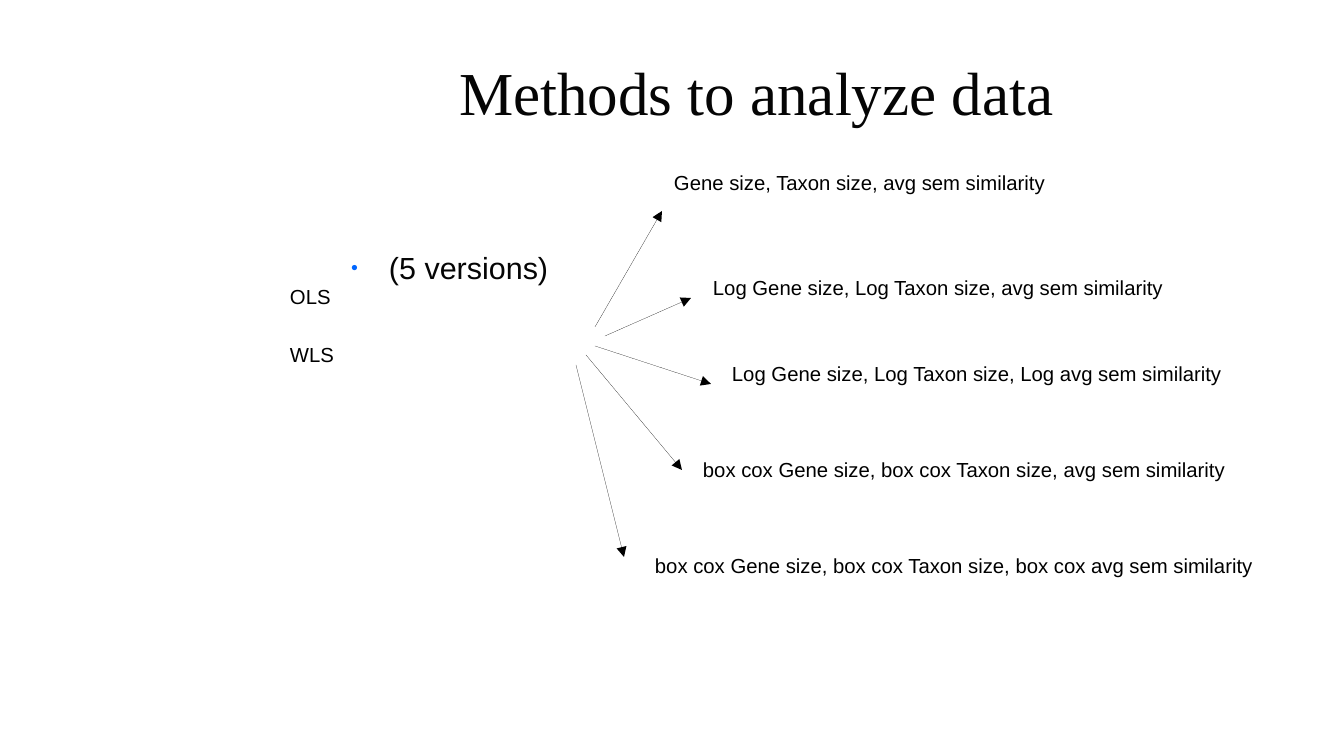
from pptx import Presentation
from pptx.dml.color import RGBColor
from pptx.enum.shapes import MSO_CONNECTOR
from pptx.enum.text import MSO_ANCHOR, PP_ALIGN
from pptx.oxml.ns import qn
from pptx.util import Emu, Pt
from lxml.etree import SubElement

PX = 914400 // 122
COLORS = {"ink": "050505", "black": "000000", "bullet": "0066FF"}


def px(length):
    return Emu(length * PX)


def add_text(text, box, size, font="Arial", color="black", insets=(12, 6, 12, 6)):
    frame = slide.shapes.add_textbox(*map(px, box)).text_frame
    frame.word_wrap = True
    (frame.margin_left, frame.margin_top,
     frame.margin_right, frame.margin_bottom) = map(px, insets)
    paragraph = frame.paragraphs[0]
    paragraph.text = text
    paragraph.font.size = Pt(size)
    paragraph.font.name = font
    paragraph.font.color.rgb = RGBColor.from_string(COLORS[color])
    return frame


deck = Presentation()
deck.slide_width, deck.slide_height = px(1344), px(756)
slide = deck.slides.add_slide(deck.slide_layouts[6])

# Title
title = add_text("Methods to analyze data", (216, 29, 1081, 125), 36,
                 "Times New Roman", "ink", (0, 0, 0, 0))
title.vertical_anchor = MSO_ANCHOR.MIDDLE
title.paragraphs[0].alignment = PP_ALIGN.CENTER

# Bulleted version count
versions = add_text("(5 versions)", (216, 183, 1081, 438), 18,
                    color="ink", insets=(0, 95, 0, 0))
bullet = versions.paragraphs[0]
bullet.level = 2
bullet_format = bullet._p.get_or_add_pPr()
bullet_format.set("marL", str(px(173)))
bullet_format.set("indent", str(px(-38)))
settings = [("a:buSzPct", "val", "40000"), ("a:buFont", "typeface", "Arial"),
            ("a:buChar", "char", "●")]
bullet_color = SubElement(bullet_format, qn("a:buClr"))
SubElement(bullet_color, qn("a:srgbClr")).set("val", COLORS["bullet"])
for tag, key, value in settings:
    SubElement(bullet_format, qn(tag)).set(key, value)
# Paragraph defaults belong after the bullet settings
bullet_format.append(bullet_format.find(qn("a:defRPr")))

# Arrows from the versions to the variable sets
arrows = [
    ((595, 327), (662, 211)),
    ((605, 336), (691, 298)),
    ((595, 346), (711, 384)),
    ((586, 355), (682, 470)),
    ((576, 365), (624, 557)),
]
for start, end in arrows:
    arrow = slide.shapes.add_connector(
        MSO_CONNECTOR.STRAIGHT, *map(px, start + end))
    arrow.line.color.rgb = RGBColor.from_string(COLORS["black"])
    SubElement(arrow.line._get_or_add_ln(), qn("a:tailEnd")).set("type", "triangle")
    SubElement(arrow._element.spPr, qn("a:effectLst"))
    # Without the theme style the line is a hairline
    arrow._element.remove(arrow._element.find(qn("p:style")))

# Variable sets and regression methods
labels = [
    ("Gene size, Taxon size, avg sem similarity", (662, 164, 528, 77)),
    ("Log Gene size, Log Taxon size, avg sem similarity", (701, 269, 595, 79)),
    ("Log Gene size, Log Taxon size, Log avg sem similarity", (720, 355, 586, 34)),
    ("box cox Gene size, box cox Taxon size, avg sem similarity",
     (691, 451, 625, 34)),
    ("box cox Gene size, box cox Taxon size, box cox avg sem similarity",
     (643, 547, 662, 34)),
    ("WLS", (278, 336, 105, 34)),
    ("OLS", (278, 278, 105, 34)),
]
for label, box in labels:
    add_text(label, box, 12)

deck.save("out.pptx")
